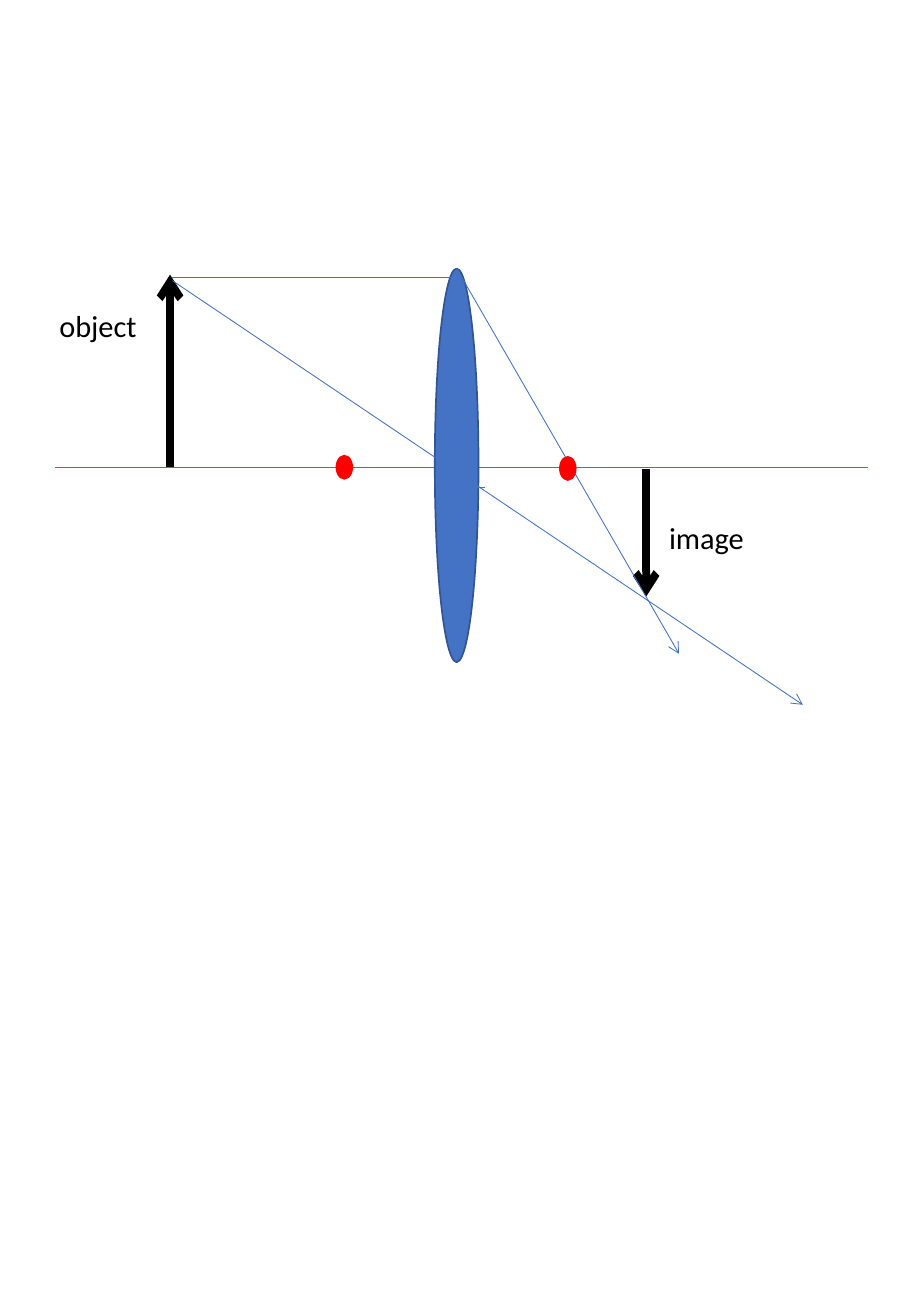
import pptx
import pptx.util
import pptx.dml.color
import pptx.enum.shapes
import pptx.enum.text
import pptx.oxml.ns
from lxml import etree

COLORS = {"ray": "4472C4", "rim": "325491", "arrow": "000000", "focus": "FF0000"}
COLS, ROWS = 68, 36
AXIS_ROW = 16.5
RAY = {"color": "ray", "width": 0.5}
BOLD = {"color": "arrow", "width": 4.5, "arrow": True}
LABEL_FONT = {"name": "Calibri", "size": pptx.util.Pt(18)}
LABEL_FRAME = {
    "word_wrap": False,
    "auto_size": pptx.enum.text.MSO_AUTO_SIZE.SHAPE_TO_FIT_TEXT,
}


def rgb(name):
    return pptx.dml.color.RGBColor.from_string(COLORS[name])


def apply(target, values):
    for key, value in values.items():
        setattr(target, key, value)


def add_line(s, start, end, color, width, arrow=False):
    c = s.shapes.add_connector(pptx.enum.shapes.MSO_CONNECTOR.STRAIGHT, *start, *end)
    c.line.color.rgb = rgb(color)
    c.line.width = pptx.util.Pt(width)
    if arrow:
        ln = c.line._get_or_add_ln()
        etree.SubElement(ln, pptx.oxml.ns.qn("a:tailEnd"), type="arrow")
    etree.SubElement(c._element.spPr, pptx.oxml.ns.qn("a:effectLst"))


def add_ellipse(s, corner, size, fill, line):
    sp = s.shapes.add_shape(pptx.enum.shapes.MSO_SHAPE.OVAL, *corner, *size)
    sp.shadow.inherit = False
    sp.fill.solid()
    sp.fill.fore_color.rgb = rgb(fill)
    sp.line.color.rgb = rgb(line)
    sp.line.width = pptx.util.Pt(1)


def add_label(s, corner, size, text):
    tf = s.shapes.add_textbox(*corner, *size).text_frame
    apply(tf, LABEL_FRAME)
    r = tf.paragraphs[0].add_run()
    r.text = text
    apply(r.font, LABEL_FONT)
    r.font.color.rgb = rgb("arrow")


def draw_lens_diagram(s, left, top, width, height):
    def size(col, row):
        return round(col * width / COLS), round(row * height / ROWS)

    def at(col, row):
        x, y = size(col, row)
        return left + x, top + y

    add_line(s, at(1, AXIS_ROW), at(COLS, AXIS_ROW), **RAY)
    add_ellipse(s, at(32.3, 0.1), size(3.6, 32.4), "ray", "rim")

    lines = [
        ((35.1, 18.1), (36.4, 18.1), RAY),
        ((10.5, 16.4), (10.5, 0.6), BOLD),
        ((10.7, 1.1), (62.6, 36), {**RAY, "arrow": True}),
        ((49.7, 16.6), (49.7, 27.1), BOLD),
        ((10.7, 0.8), (33.9, 0.8), RAY),
        ((34.1, 0.1), (52.4, 31.8), {**RAY, "arrow": True}),
    ]
    for start, end, style in lines:
        add_line(s, at(*start), at(*end), **style)

    for col, row in ((42.6, 15.6), (24.2, 15.5)):
        add_ellipse(s, at(col, row), size(1.3, 1.9), "focus", "focus")

    for col, row, text in ((0.4, 2.8, "object"), (50.6, 20.2, "image")):
        add_label(s, at(col, row), size(8.4, 4), text)


def main():
    prs = pptx.Presentation()
    apply(prs, {"slide_width": pptx.util.Inches(7.5), "slide_height": pptx.util.Inches(10.83)})
    s = prs.slides.add_slide(prs.slide_layouts[6])
    box = (0.35, 2.2, 6.8, 3.6)
    draw_lens_diagram(s, *(pptx.util.Inches(v) for v in box))
    prs.save("out.pptx")


if __name__ == "__main__":
    main()
